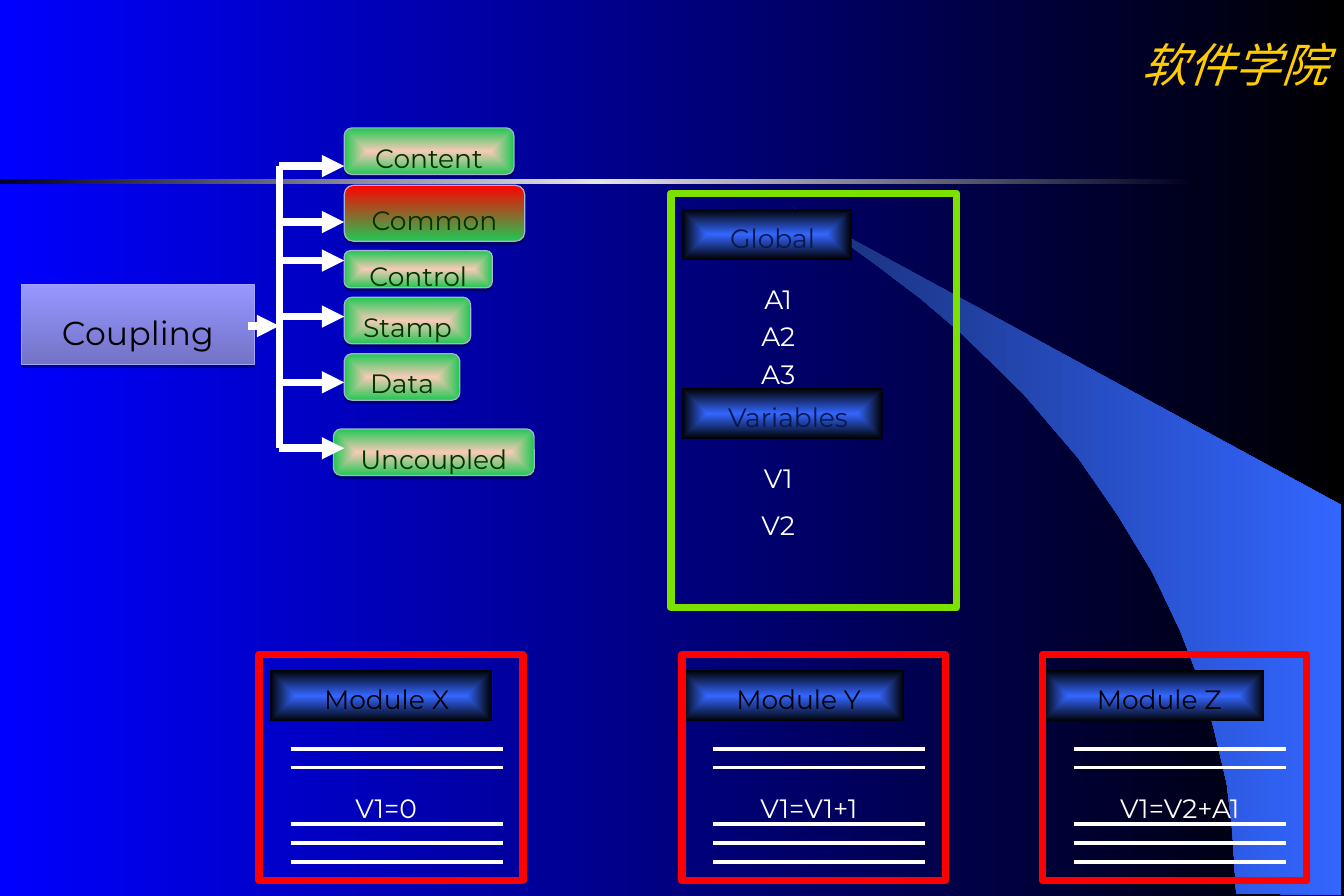
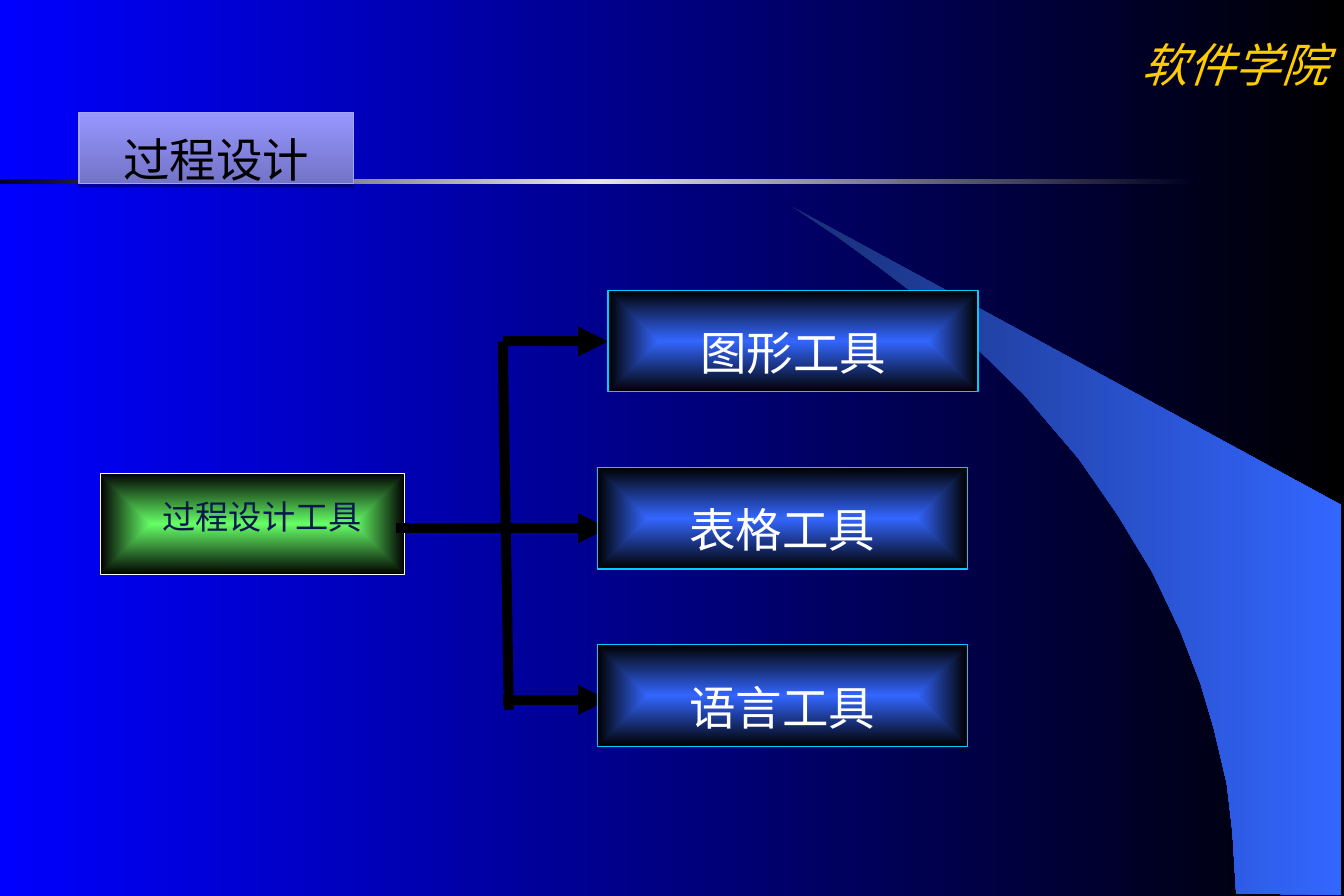
"""Build two slides on module coupling and procedural design tools."""
from pptx import Presentation
from pptx.dml.color import RGBColor
from pptx.enum.shapes import MSO_CONNECTOR, MSO_SHAPE
from pptx.enum.text import MSO_ANCHOR, MSO_AUTO_SIZE, PP_ALIGN
from pptx.oxml import parse_xml
from pptx.oxml.ns import nsdecls, qn
from pptx.util import Cm, Pt

FONT = "Montserrat"
WHITE, BLACK, NAVY, FOREST = "FFFFFF", "000000", "08184E", "003300"
RED, LIME, CYAN, GOLD = "FF0000", "7DE100", "00CCFF", "FFCC00"
BLUE_GLOW = ("3366FF", BLACK)
GREEN_GLOW = ("66FF66", BLACK)
PEACH_GLOW = ("F8CAB6", "21C754")
SWOOSH = [
    (26.29, 19), (28.52, 19.02), (28.52, 10.74), (16.84, 4.39), (17.83, 5.05),
    (18.64, 5.64), (19.58, 6.35), (20.47, 7.11), (21.77, 8.38), (22.94, 9.75),
    (23.77, 10.95), (24.51, 12.17), (25.1, 13.41), (25.53, 14.53),
    (25.81, 15.47), (26.09, 16.66), (26.21, 17.68),
]


def rgb(colour):
    """Turn a hex string into a colour."""
    return RGBColor.from_string(colour)


def lengths(values):
    """Turn numbers in centimetres into lengths."""
    return [Cm(value) for value in values]


def paint(fill, colours, angle=None):
    """Apply an evenly spaced gradient, from the centre if no angle is given."""
    fill.gradient()
    gradient = fill._xPr.find(qn("a:gradFill"))
    for child in list(gradient):
        gradient.remove(child)
    stops = "".join(
        f'<a:gs pos="{100000 * index // (len(colours) - 1)}"><a:srgbClr val="{colour}"/></a:gs>'
        for index, colour in enumerate(colours))
    gradient.append(parse_xml(f'<a:gsLst {nsdecls("a")}>{stops}</a:gsLst>'))
    if angle is None:
        direction = (f'<a:path {nsdecls("a")} path="rect">'
                     '<a:fillToRect l="50000" t="50000" r="50000" b="50000"/></a:path>')
    else:
        direction = f'<a:lin {nsdecls("a")} ang="{angle * 60000}" scaled="0"/>'
    gradient.append(parse_xml(direction))


def outline(shape, colour=None, width=0.75):
    """Set the outline of a shape, or take it away."""
    if colour is None:
        shape.line.fill.background()
    else:
        shape.line.color.rgb = rgb(colour)
        shape.line.width = Pt(width)


def drop_shadow(shape):
    """Give a shape a soft shadow just below it."""
    shape.shadow.inherit = False
    shape._element.spPr.find(qn("a:effectLst")).append(parse_xml(
        f'<a:outerShdw {nsdecls("a")} blurRad="0" dist="22860" dir="5400000" rotWithShape="0">'
        '<a:srgbClr val="000000"><a:alpha val="35000"/></a:srgbClr></a:outerShdw>'))


def write(shape, text, size, colour, spacing=1.4, margins=(0, 0, 0, 0)):
    """Write one centred line into a shape and return its font."""
    frame = shape.text_frame
    frame.auto_size = MSO_AUTO_SIZE.NONE
    frame.word_wrap = True
    frame.vertical_anchor = MSO_ANCHOR.MIDDLE
    (frame.margin_left, frame.margin_top,
     frame.margin_right, frame.margin_bottom) = lengths(margins)
    paragraph = frame.paragraphs[0]
    paragraph.alignment = PP_ALIGN.CENTER
    paragraph.line_spacing = spacing
    run = paragraph.add_run()
    run.text = text
    run.font.name = FONT
    run.font.size = Pt(size)
    run.font.color.rgb = rgb(colour)
    return run.font


def add_box(slide, box, colours=None, line=None, width=0.75, angle=None, kind=MSO_SHAPE.RECTANGLE):
    """Add a preset shape with a gradient or no fill."""
    shape = slide.shapes.add_shape(kind, *lengths(box))
    shape.shadow.inherit = False
    if colours:
        paint(shape.fill, colours, angle)
    else:
        shape.fill.background()
    outline(shape, line, width)
    return shape


def add_label(slide, box, text):
    """Add a white label without a fill."""
    write(slide.shapes.add_textbox(*lengths(box)), text, 16, WHITE)


def add_line(slide, start, end, colour, width, arrow=False):
    """Add a straight line, with an arrowhead at its end if wanted."""
    connector = slide.shapes.add_connector(MSO_CONNECTOR.STRAIGHT, *lengths(start + end))
    outline(connector, colour, width)
    if arrow:
        connector.line._get_or_add_ln().append(
            parse_xml(f'<a:tailEnd {nsdecls("a")} type="triangle"/>'))
    connector._element.spPr.append(parse_xml(f'<a:effectLst {nsdecls("a")}/>'))


def build_backdrop(slide):
    """Place the background, swoosh, rule and school name on the layout."""
    layout = slide.slide_layout
    for placeholder in list(layout.placeholders):
        if placeholder.placeholder_format.idx != 0:
            placeholder._element.getparent().remove(placeholder._element)
    paint(layout.background.fill, ("0000FF", BLACK), 0)

    school = slide.shapes.add_textbox(*lengths((23.93, 0.64, 4.65, 1.45)))
    font = write(school, "软件学院", 28, GOLD, 1, (0.25, 0.13, 0.25, 0.13))
    font.name = "Times New Roman"
    font.italic = True

    points = [tuple(lengths(point)) for point in SWOOSH]
    builder = slide.shapes.build_freeform(*points[0])
    builder.add_line_segments(points[1:], close=True)
    swoosh = builder.convert_to_shape()
    swoosh.shadow.inherit = False
    paint(swoosh.fill, ("182F76", "3366FF"), 0)
    outline(swoosh)

    rule = add_box(slide, (0, 3.81, 25.37, 0.1), ("000020", "E5E5E8", "000020"), angle=0)
    for shape in (school, swoosh, rule):
        layout.shapes._spTree.append(shape._element)


def set_title(slide, box, text, size):
    """Turn the title placeholder into a rounded violet plate."""
    title = slide.shapes.title
    title.left, title.top, title.width, title.height = lengths(box)
    title._element.spPr.find(qn("a:xfrm")).addnext(parse_xml(
        f'<a:prstGeom {nsdecls("a")} prst="roundRect"><a:avLst/></a:prstGeom>'))
    paint(title.fill, ("7373C7", "9797FF"), 270)
    outline(title, "A4A4FB")
    drop_shadow(title)
    write(title, text, size, BLACK)


def add_plate(slide, box, text, colour):
    """Add a glowing blue heading plate."""
    plate = add_box(slide, box, BLUE_GLOW)
    write(plate, text, 16, colour, 0.75, (0.25, 0.28, 0, 0))


def build_coupling_tree(slide, left, top):
    """Draw the kinds of coupling, branching from a trunk at the given point."""
    kinds = [
        ("Content", 0, 1.38, -0.81, 3.61, 0.99),
        ("Common", 1.19, 1.38, 0.41, 3.84, 1.19),
        ("Control", 2.01, 1.38, 1.8, 3.15, 0.79),
        ("Stamp", 3.2, 1.38, 2.79, 2.69, 0.99),
        ("Data", 4.6, 1.38, 3.99, 2.46, 0.99),
        ("Uncoupled", 6, 1.15, 5.59, 4.27, 0.99),
    ]
    add_line(slide, (left, top), (left, top + 6), WHITE, 4.5)
    add_line(slide, (left - 0.66, top + 3.4), (left, top + 3.4), WHITE, 4.5, True)
    for name, branch, x, y, width, height in kinds:
        chosen = name == "Common"
        shape = add_box(slide, (left + x, top + y, width, height),
                        (RED, "21C754") if chosen else PEACH_GLOW, "A5B5CF",
                        angle=90 if chosen else None, kind=MSO_SHAPE.ROUNDED_RECTANGLE)
        drop_shadow(shape)
        write(shape, name, 16, FOREST)
        add_line(slide, (left, top + branch), (left + 1.38, top + branch), WHITE, 4.5, True)


def build_shared_data(slide, box):
    """Draw the frame that lists the global data and variables."""
    left, top = box[:2]
    groups = [
        ("Global", 0.34, 3.61, 0.8, ("A1", "A2", "A3")),
        ("Variables", 4.15, 4.27, 0.99, ("V1", "V2")),
    ]
    for heading, offset, width, step, names in groups:
        add_plate(slide, (left + 0.23, top + offset, width, 1.07), heading, NAVY)
        for index, name in enumerate(names):
            add_label(slide, (left + 1.38, top + offset + 1.27 + index * step, 1.8, 0.99), name)
    add_box(slide, box, line=LIME, width=4.5)


def build_module(slide, box, name, statement, inset=0, label_width=3.61):
    """Draw one module with its code lines and its statement."""
    left, top = box[:2]
    add_plate(slide, (left + inset, top + 0.33, 4.72, 1.09), name, BLACK)
    add_box(slide, box, line=RED, width=4.5)
    for row in (0, 1, 4, 5, 6):
        y = top + 2 + row * 0.4
        add_line(slide, (left + 0.67, y), (left + 5.18, y), WHITE, 2.25)
    add_label(slide, (left + 0.9, top + 2.62, label_width, 0.99), statement)


def build_coupling_slide(slide):
    """Fill the slide on common coupling."""
    set_title(slide, (0.46, 6.05, 4.95, 1.7), "Coupling", 20)
    build_coupling_tree(slide, 5.94, 3.53)
    build_shared_data(slide, (14.27, 4.11, 6.07, 8.81))
    build_module(slide, (5.51, 13.92, 5.61, 4.8), "Module X", "V1=0", inset=0.23)
    build_module(slide, (14.5, 13.92, 5.61, 4.8), "Module Y", "V1=V1+1")
    build_module(slide, (22.17, 13.92, 5.61, 4.8), "Module Z", "V1=V2+A1", label_width=4.04)


def build_tool_tree(slide, left, top):
    """Draw the design tools, with the first tool at the given height."""
    source = add_box(slide, (left, top + 3.89, 6.48, 2.16), GREEN_GLOW, WHITE)
    write(source, "过程设计工具", 20, NAVY, 0.75, (0.41, 0, 0, 0.13))
    trunk, tip = left + 8.56, left + 10.8
    add_line(slide, (trunk, top + 1.09), (trunk + 0.13, top + 8.92), BLACK, 6)
    for start, y in ((trunk, 1.09), (left + 6.3, 5.06), (trunk, 8.71)):
        add_line(slide, (start, top + y), (tip, top + y), BLACK, 6, True)
    tools = (("图形工具", 10.8), ("表格工具", 10.57), ("语言工具", 10.57))
    for index, (name, x) in enumerate(tools):
        tool = add_box(slide, (left + x, top + index * 3.77, 7.87, 2.16), BLUE_GLOW, CYAN)
        write(tool, name, 28, WHITE)


def build_tools_slide(slide):
    """Fill the slide on procedural design tools."""
    set_title(slide, (1.68, 2.39, 5.84, 1.52), "过程设计", 28)
    build_tool_tree(slide, 2.13, 6.17)


def main():
    """Build and save the presentation."""
    presentation = Presentation()
    presentation.slide_width, presentation.slide_height = Cm(28.58), Cm(19.05)
    layout = presentation.slide_layouts[5]
    coupling_slide = presentation.slides.add_slide(layout)
    build_backdrop(coupling_slide)
    build_coupling_slide(coupling_slide)
    build_tools_slide(presentation.slides.add_slide(layout))
    presentation.save("out.pptx")


if __name__ == "__main__":
    main()
